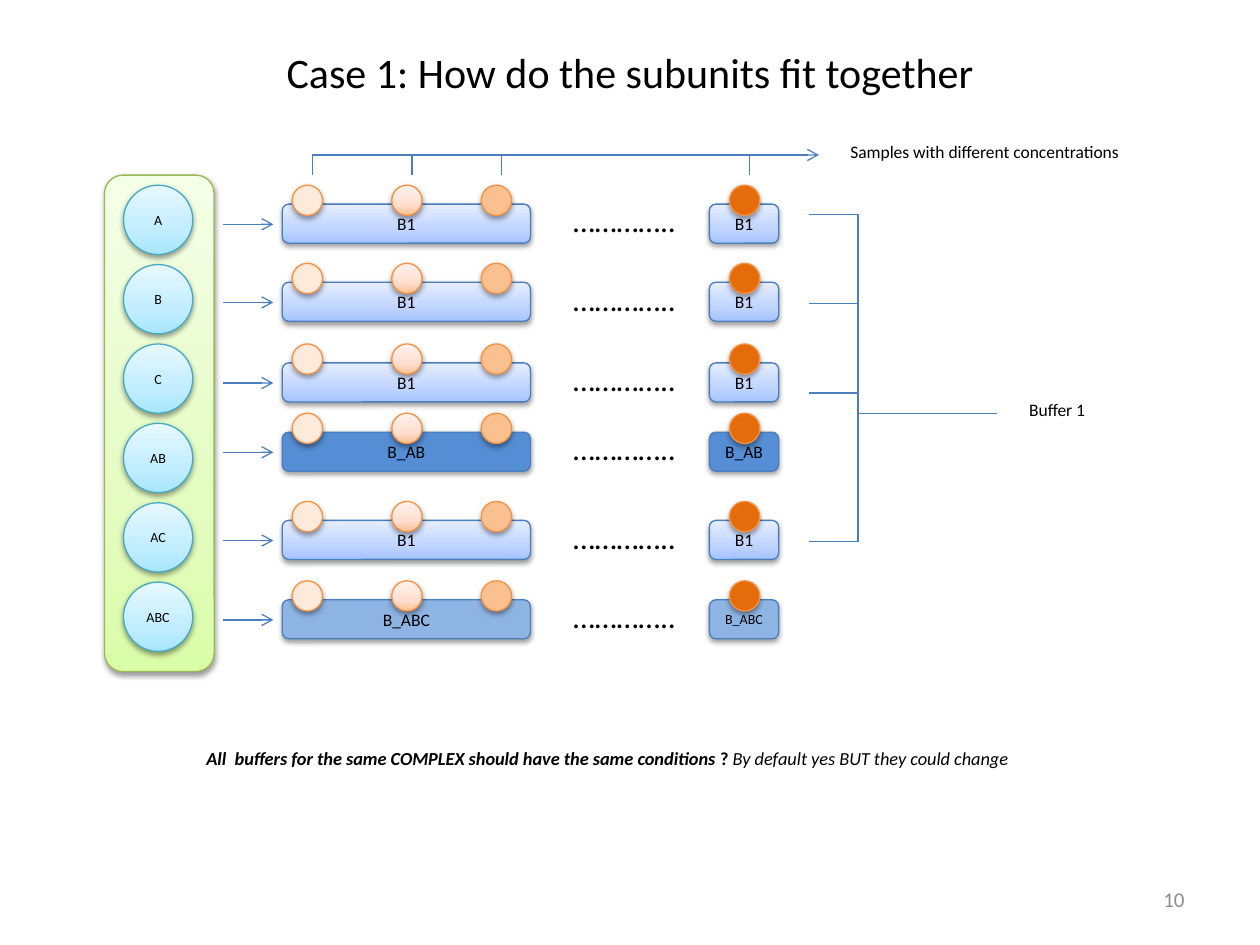
from lxml.etree import SubElement
from pptx import Presentation
from pptx.dml.color import RGBColor
from pptx.enum.shapes import MSO_CONNECTOR, MSO_SHAPE
from pptx.enum.text import MSO_ANCHOR, MSO_AUTO_SIZE, PP_ALIGN
from pptx.oxml.ns import qn
from pptx.util import Inches, Pt

FONT = "Calibri"
COLORS = {
    "text": "000000", "number": "8C8C8C", "line": "4B7EBC",
    "panel_edge": "98B955", "subunit_edge": "46AAC5", "sample_edge": "F69240",
    "low": "FDEADA", "high": "FAC090", "top": "E46C0A",
    "ab": "558ED5", "abc": "8EB4E3",
}
# Gradients run from the bottom (0 %) over 35 % to the top (100 %)
GRADIENTS = {
    "panel": ("DAFDA7", "E4FCC2", "F5FFE7"),
    "subunit": ("A7E6FF", "C1EDFF", "E7F8FF"),
    "buffer": ("A4C4FF", "BFD4FF", "E6EEFF"),
    "medium": ("FAC090", "FFDED0", "FFF2ED"),
}
STOPS = (0, 35, 100)

# Subunit or complex, buffer label, buffer fill, row top, size of the short label
ROWS = [
    ("A", "B1", "buffer", 1.47, 10),
    ("B", "B1", "buffer", 2.09, 10),
    ("C", "B1", "buffer", 2.73, 10),
    ("AB", "B_AB", "ab", 3.28, 10),
    ("AC", "B1", "buffer", 3.98, 10),
    ("ABC", "B_ABC", "abc", 4.61, 8),
]
SAMPLES = [(2.32, "low"), (3.11, "medium"), (3.82, "high"), (5.79, "top")]
SUBUNIT_TOP, SUBUNIT_STEP = 1.47, 0.63
AXIS_Y, BRACKET_X = 1.23, 6.81


def rgb(name):
    return RGBColor.from_string(COLORS[name])


def add_run(p, text, size, color="text", bold=None, italic=None):
    r = p.add_run()
    r.text = text
    r.font.name, r.font.size = FONT, Pt(size)
    r.font.bold, r.font.italic = bold, italic
    r.font.color.rgb = rgb(color)


def paint(sp, fill):
    if fill in COLORS:
        sp.fill.solid()
        sp.fill.fore_color.rgb = rgb(fill)
        return
    sp.fill.gradient()
    sp.fill.gradient_angle = 90
    stops = sp._element.spPr.find(".//" + qn("a:gsLst"))
    for stop in list(stops):
        stops.remove(stop)
    for pos, color in zip(STOPS, GRADIENTS[fill]):
        stop = SubElement(stops, qn("a:gs"), pos=str(pos * 1000))
        SubElement(stop, qn("a:srgbClr"), val=color)


def add_shadow(sp):
    sp.shadow.inherit = False
    effects = sp._element.spPr.find(qn("a:effectLst"))
    shadow = SubElement(effects, qn("a:outerShdw"), blurRad=str(Pt(3.1)),
                        dist=str(Pt(1.6)), dir="5400000", rotWithShape="0")
    color = SubElement(shadow, qn("a:srgbClr"), val="000000")
    SubElement(color, qn("a:alpha"), val="38000")


def add_box(shapes, kind, x, y, w, h, fill, edge, text="", size=10):
    sp = shapes.add_shape(kind, Inches(x), Inches(y), Inches(w), Inches(h))
    paint(sp, fill)
    sp.line.color.rgb = rgb(edge)
    sp.line.width = Pt(0.75)
    add_shadow(sp)
    if text:
        tf = sp.text_frame
        tf.word_wrap = False
        tf.vertical_anchor = MSO_ANCHOR.MIDDLE
        p = tf.paragraphs[0]
        p.alignment = PP_ALIGN.CENTER
        add_run(p, text, size)


def add_line(shapes, x1, y1, x2, y2, arrow=False):
    line = shapes.add_connector(MSO_CONNECTOR.STRAIGHT, Inches(x1), Inches(y1),
                                Inches(x2), Inches(y2))
    line.line.color.rgb = rgb("line")
    line.line.width = Pt(0.75)
    if arrow:
        SubElement(line.line._get_or_add_ln(), qn("a:tailEnd"), type="arrow")
    SubElement(line._element.spPr, qn("a:effectLst"))


def add_text(shapes, x, y, w, h, wrap=False):
    tf = shapes.add_textbox(Inches(x), Inches(y), Inches(w), Inches(h)).text_frame
    tf.word_wrap = wrap
    tf.auto_size = MSO_AUTO_SIZE.SHAPE_TO_FIT_TEXT
    return tf.paragraphs[0]


def add_title(s):
    title = s.shapes.title
    title.left, title.top = Inches(0.5), Inches(0.3)
    title.width, title.height = Inches(9), Inches(0.54)
    tf = title.text_frame
    tf.vertical_anchor = MSO_ANCHOR.MIDDLE
    p = tf.paragraphs[0]
    p.alignment = PP_ALIGN.CENTER
    add_run(p, "Case 1: How do the subunits fit together", 24)


def add_buffer_row(s, label, fill, top, short_size):
    shapes = s.shapes.add_group_shape().shapes
    for x, w, size in ((2.24, 1.97, 10), (5.63, 0.55, short_size)):
        add_box(shapes, MSO_SHAPE.ROUNDED_RECTANGLE, x, top + 0.15, w, 0.31,
                fill, "line", label, size)
    for x, tint in SAMPLES:
        add_box(shapes, MSO_SHAPE.OVAL, x, top, 0.24, 0.24, tint, "sample_edge")
    add_run(add_text(shapes, 4.45, top + 0.08, 1.02, 0.4), "…………..", 18)
    add_line(shapes, 1.77, top + 0.31, 2.17, top + 0.31, arrow=True)


def main():
    prs = Presentation()
    prs.slide_width, prs.slide_height = Inches(10), Inches(7.5)
    s = prs.slides.add_slide(prs.slide_layouts[5])
    shapes = s.shapes
    add_title(s)

    # Subunits and complexes
    add_box(shapes, MSO_SHAPE.ROUNDED_RECTANGLE, 0.83, 1.39, 0.87, 3.94,
            "panel", "panel_edge")
    for i, (subunit, *_) in enumerate(ROWS):
        add_box(shapes, MSO_SHAPE.OVAL, 0.98, SUBUNIT_TOP + i * SUBUNIT_STEP,
                0.55, 0.55, "subunit", "subunit_edge", subunit, 8)

    # Buffers with their samples
    for _, label, fill, top, short_size in ROWS:
        add_buffer_row(s, label, fill, top, short_size)

    # Concentration axis
    add_line(shapes, 2.48, AXIS_Y, 6.5, AXIS_Y, arrow=True)
    for x, _ in SAMPLES:
        add_line(shapes, x + 0.16, AXIS_Y, x + 0.16, AXIS_Y + 0.16)
    add_run(add_text(shapes, 6.65, 1.07, 2.38, 0.27),
            "Samples with different concentrations", 10)

    # Bracket for the shared buffer
    add_line(shapes, BRACKET_X, 1.7, BRACKET_X, 4.3)
    for y in (1.7, 2.41, 3.12, 4.3):
        add_line(shapes, BRACKET_X, y, 6.42, y)
    add_line(shapes, BRACKET_X, 3.28, 7.91, 3.28)
    add_run(add_text(shapes, 8.07, 3.12, 0.66, 0.27), "Buffer 1", 10)

    # Closing question and slide number
    p = add_text(shapes, 1.54, 5.88, 7.4, 0.28, wrap=True)
    add_run(p, "All  buffers for the same COMPLEX should have the same conditions ",
            10.5, bold=True, italic=True)
    add_run(p, "? ", 10.5, bold=True)
    add_run(p, "By default yes BUT they could change", 10.5, italic=True)
    p = add_text(shapes, 7.17, 6.99, 2.33, 0.31, wrap=True)
    p.alignment = PP_ALIGN.RIGHT
    add_run(p, "10", 12, "number")

    prs.save("out.pptx")


if __name__ == "__main__":
    main()
